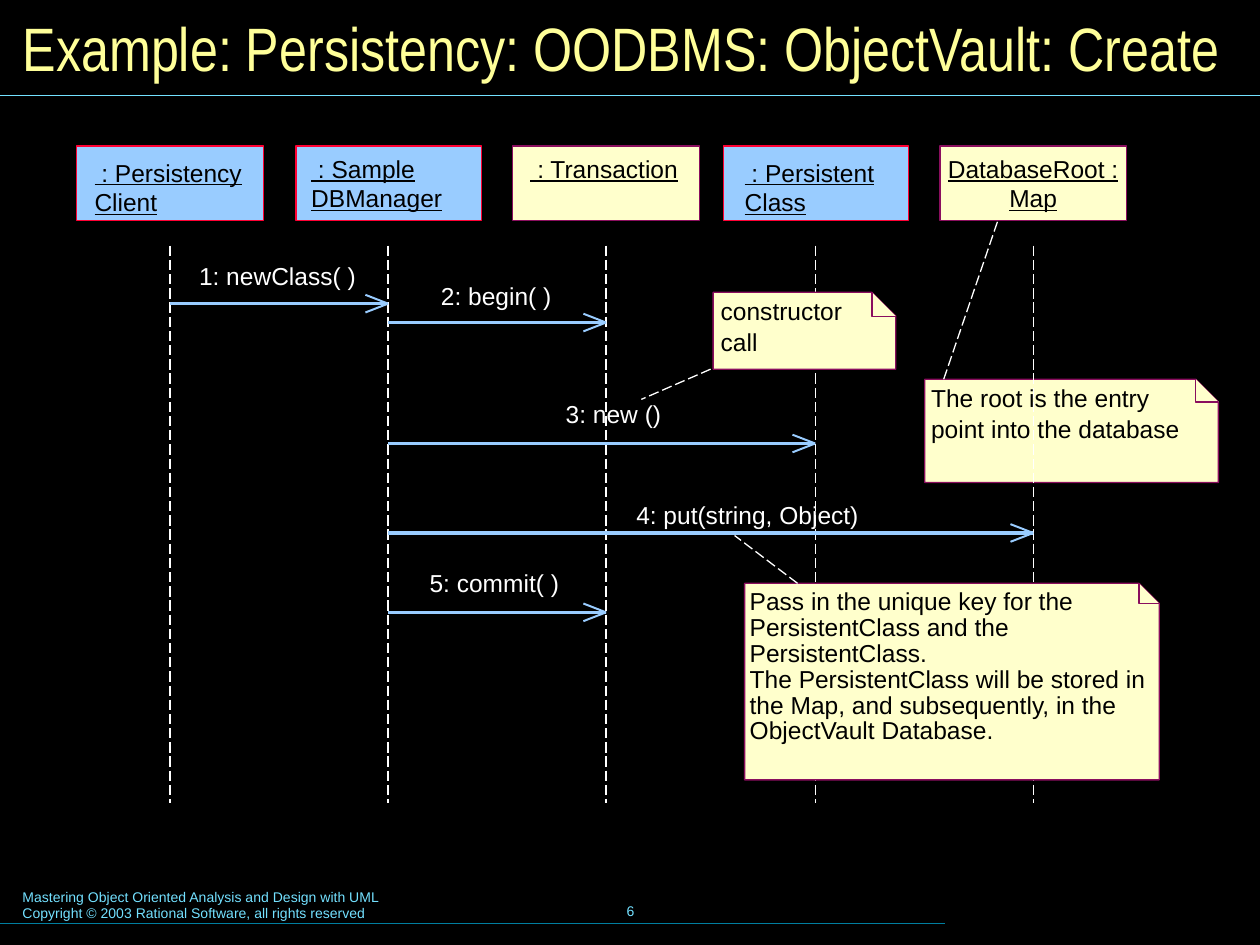
from pptx import Presentation, util as u
from pptx.dml.color import RGBColor
from pptx.enum import dml, shapes, text
from pptx.oxml.ns import qn
from lxml import etree

PX = 9144
BLACK = RGBColor(0x00, 0x00, 0x00)
WHITE = RGBColor(0xFF, 0xFF, 0xFF)
BLUE = RGBColor(0x99, 0xCC, 0xFF)
CREAM = RGBColor(0xFF, 0xFF, 0xCC)
RED = RGBColor(0xFF, 0x00, 0x33)
PLUM = RGBColor(0x8A, 0x0E, 0x5E)
CYAN = RGBColor(0x73, 0xE1, 0xFF)
TEAL = RGBColor(0x00, 0x7E, 0x9F)
YELLOW = RGBColor(0xFF, 0xFF, 0x99)
LEFT, CENTER = text.PP_ALIGN.LEFT, text.PP_ALIGN.CENTER
TOP, MIDDLE = text.MSO_ANCHOR.TOP, text.MSO_ANCHOR.MIDDLE


def px(*nums):
    """Turn px into EMU."""
    return [u.Emu(n * PX) for n in nums]


def write(shape, words, color, size=14, face="Arial", align=LEFT,
          anchor=TOP, inset=(0, 0), under=None, pitch=None):
    """Fill a shape with text in one style."""
    frame = shape.text_frame
    frame.word_wrap = True
    frame.vertical_anchor = anchor
    frame.margin_left, frame.margin_top = px(*inset)
    frame.margin_right = frame.margin_bottom = 0
    frame.text = words
    for para in frame.paragraphs:
        para.alignment = align
        if pitch:
            para.line_spacing = u.Pt(pitch)
        font = para.font
        font.name, font.size, font.underline = face, u.Pt(size), under
        font.color.rgb = color


def label(slide, box, words, color, **style):
    """Add a text box."""
    write(slide.shapes.add_textbox(*px(*box)), words, color, **style)


def paint(shape, fill, edge):
    """Give a shape a flat fill and a hairline edge."""
    shape.shadow.inherit = False
    shape.fill.solid()
    shape.fill.fore_color.rgb = fill
    shape.line.color.rgb = edge
    shape.line.width = u.Pt(0)


def line(slide, ends, color, width=0.75, dash=False):
    """Add a straight line."""
    link = slide.shapes.add_connector(shapes.MSO_CONNECTOR.STRAIGHT, *px(*ends))
    link.line.color.rgb = color
    link.line.width = u.Pt(width)
    if dash:
        link.line.dash_style = dml.MSO_LINE.LONG_DASH
    etree.SubElement(link.element.find(qn("p:spPr")), qn("a:effectLst"))


def trace(slide, points):
    """Add a freeform through the points."""
    pen = slide.shapes.build_freeform(*points[0], scale=PX)
    pen.add_line_segments(points[1:], close=False)
    shape = pen.convert_to_shape()
    paint(shape, CREAM, PLUM)
    return shape


def note(slide, box, fold, words, inset, pitch):
    """Add a note with a folded corner."""
    x, y, w, h = box
    right, low = x + w, y + h
    body = trace(slide, [(x, y), (right - fold, y), (right, y + fold),
                         (right, low), (x, low), (x, y)])
    write(body, words, BLACK, inset=inset, pitch=pitch)
    trace(slide, [(right - fold, y), (right - fold, y + fold), (right, y + fold)])


def actor(slide, box, words, fill, edge, inset, align=LEFT):
    """Add an object box and its lifeline."""
    x, y, w, h = box
    head = slide.shapes.add_shape(shapes.MSO_SHAPE.RECTANGLE, *px(*box))
    paint(head, fill, edge)
    write(head, words, BLACK, align=align, inset=inset, under=True)
    mid = x + w // 2
    line(slide, (mid, y + h + 20, mid, y + 521), WHITE, dash=True)


def message(slide, start, end, y, words, spot):
    """Add a message arrow and its label."""
    line(slide, (start, y, end, y), BLUE, 0)
    for rise in (7, -7):
        line(slide, (end, y, end - 18, y + rise), BLUE, 1.13)
    label(slide, (*spot, 190, 23), words, WHITE)


def frame(slide):
    """Add the title, rules and footer."""
    title = slide.shapes.title
    title.left, title.top, title.width, title.height = px(8, 8, 984, 58)
    write(title, "Example: Persistency: OODBMS: ObjectVault: Create", YELLOW,
          size=35, face="Arial Narrow", anchor=MIDDLE, inset=(10, 0))
    line(slide, (0, 76, 1000, 76), CYAN)
    line(slide, (0, 733, 750, 733), TEAL)
    label(slide, (8, 700, 510, 37),
          "Mastering Object Oriented Analysis and Design with UML\n"
          "Copyright © 2003 Rational Software, all rights reserved",
          CYAN, size=8, inset=(10, 5))
    label(slide, (342, 698, 317, 50), "6", CYAN, size=8,
          align=CENTER, anchor=MIDDLE)


def diagram(slide):
    """Add the sequence diagram."""
    note(slide, (734, 301, 233, 82), 18,
         "The root is the entry\vpoint into the database", (5, 1), 18)
    actors = [
        (61, 148, " : Persistency\vClient", BLUE, RED, (14, 9), LEFT),
        (235, 147, " : Sample\vDBManager", BLUE, RED, (12, 6), LEFT),
        (407, 148, " : Transaction", CREAM, PLUM, (14, 6), LEFT),
        (574, 147, " : Persistent\vClass", BLUE, RED, (17, 9), LEFT),
        (746, 148, "DatabaseRoot :\vMap", CREAM, PLUM, (0, 6), CENTER),
    ]
    for x, w, *rest in actors:
        actor(slide, (x, 116, w, 59), *rest)
    client, manager, deal, item, root = (x + w // 2 for x, w, *_ in actors)
    calls = [
        (client, manager, 241, "1: newClass( )", (158, 207)),
        (manager, deal, 256, "2: begin( )", (350, 223)),
        (manager, item, 352, "3: new ()", (449, 317)),
        (manager, root, 423, "4: put(string, Object)", (505, 397)),
        (manager, deal, 486, "5: commit( )", (341, 451)),
    ]
    for call in calls:
        message(slide, *call)
    note(slide, (566, 232, 145, 61), 19, "constructor\vcall", (6, 1), 18)
    note(slide, (591, 463, 329, 156), 16,
         "Pass in the unique key for the\vPersistentClass and the\v"
         "PersistentClass.\nThe PersistentClass will be stored in\v"
         "the Map, and subsequently, in the\vObjectVault Database.",
         (4, 5), 14.8)
    for ends in ((564, 293, 509, 317), (633, 463, 583, 425), (749, 301, 792, 175)):
        line(slide, ends, WHITE, dash=True)


def main():
    """Build and save the deck."""
    deck = Presentation()
    deck.slide_width, deck.slide_height = px(1000, 750)
    slide = deck.slides.add_slide(deck.slide_layouts[5])
    slide.background.fill.solid()
    slide.background.fill.fore_color.rgb = BLACK
    frame(slide)
    diagram(slide)
    deck.save("out.pptx")


if __name__ == "__main__":
    main()
